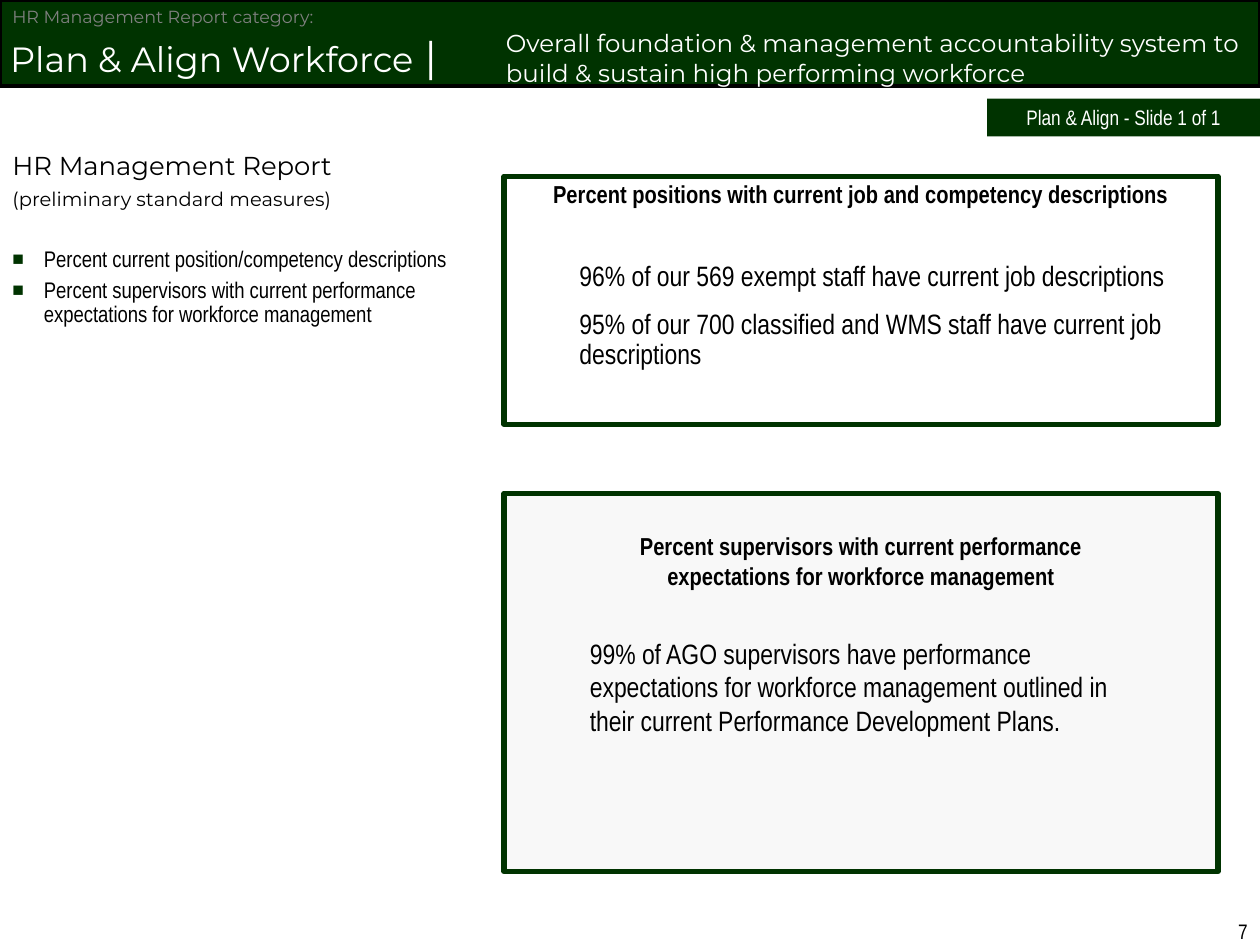
from dataclasses import dataclass
from typing import NamedTuple, Optional

from lxml import etree
from pptx import Presentation, util as u
from pptx.dml.color import RGBColor
from pptx.enum import shapes, text
from pptx.oxml import ns

COLUMNS, ROWS = 120, 90
LEFT, CENTER, RIGHT = text.PP_ALIGN.LEFT, text.PP_ALIGN.CENTER, text.PP_ALIGN.RIGHT
TOP, MIDDLE = text.MSO_ANCHOR.TOP, text.MSO_ANCHOR.MIDDLE


@dataclass(frozen=True)
class Theme:
    green: str = "003300"
    black: str = "000000"
    white: str = "FFFFFF"
    gray: str = "808080"
    pale: str = "F8F8F8"
    display: str = "Montserrat"
    body: str = "Arial Narrow"
    category: float = 20
    divider: float = 24
    statement: float = 16
    report: float = 14.8
    heading: float = 14
    bullet: float = 12.9
    label: float = 12
    note: float = 11.1
    small: float = 10


THEME = Theme()


class Area(NamedTuple):
    """A place on the slide, in columns and rows of the grid."""
    column: float
    row: float
    columns: float
    rows: float


class Run(NamedTuple):
    words: str
    size: float
    font: str = THEME.body
    color: str = THEME.black
    bold: bool = False


class Para(NamedTuple):
    runs: tuple[Run, ...]
    align: text.PP_ALIGN = LEFT
    before: float = 0
    line: float = 1
    margin: float = 0
    hanging: float = 0
    bullet: bool = False


class Block(NamedTuple):
    """A text box, or a rectangle when it has a fill."""
    area: Area
    paras: tuple[Para, ...] = ()
    fill: Optional[str] = None
    border: Optional[str] = None
    weight: float = 3
    anchor: text.MSO_ANCHOR = TOP
    insets: tuple[float, float] = (0.1, 0.05)


def add_bullet(properties) -> None:
    color = etree.SubElement(properties, ns.qn("a:buClr"))
    etree.SubElement(color, ns.qn("a:srgbClr"), val=THEME.green)
    etree.SubElement(properties, ns.qn("a:buSzPct"), val="85000")
    etree.SubElement(properties, ns.qn("a:buFont"), typeface="Arial")
    etree.SubElement(properties, ns.qn("a:buChar"), char="■")


def write_paragraph(paragraph, para: Para) -> None:
    paragraph.alignment = para.align
    paragraph.line_spacing = para.line
    paragraph.space_before = u.Pt(para.before)
    properties = paragraph._p.get_or_add_pPr()
    properties.set("marL", str(u.Inches(para.margin)))
    properties.set("indent", str(-u.Inches(para.hanging)))
    if para.bullet:
        add_bullet(properties)
    for item in para.runs:
        run = paragraph.add_run()
        run.text = item.words
        run.font.size = u.Pt(item.size)
        run.font.name = item.font
        run.font.bold = item.bold
        run.font.color.rgb = RGBColor.from_string(item.color)


def add_block(slide, block: Block, cell_width: float, cell_height: float) -> None:
    area = block.area
    box = [round(length) for length in (
        area.column * cell_width, area.row * cell_height,
        area.columns * cell_width, area.rows * cell_height)]
    if block.fill:
        shape = slide.shapes.add_shape(shapes.MSO_SHAPE.RECTANGLE, *box)
        shape.shadow.inherit = False
        shape.fill.solid()
        shape.fill.fore_color.rgb = RGBColor.from_string(block.fill)
        if block.border:
            shape.line.color.rgb = RGBColor.from_string(block.border)
            shape.line.width = u.Pt(block.weight)
        else:
            shape.line.fill.background()
    else:
        shape = slide.shapes.add_textbox(*box)
    frame = shape.text_frame
    frame.word_wrap = True
    frame.auto_size = text.MSO_AUTO_SIZE.NONE
    frame.vertical_anchor = block.anchor
    side, end = map(u.Inches, block.insets)
    frame.margin_left = frame.margin_right = side
    frame.margin_top = frame.margin_bottom = end
    for index, para in enumerate(block.paras):
        paragraph = frame.add_paragraph() if index else frame.paragraphs[0]
        write_paragraph(paragraph, para)


def measure(words: str, size: float, before: float = 0, font: str = THEME.body,
            bullet: bool = False) -> Para:
    return Para((Run(words, size, font),), before=before, line=0.9,
                margin=0.25, hanging=0.25, bullet=bullet)


def statement(words: str, before: float = 0, line: float = 1, margin: float = 0) -> Para:
    return Para((Run(words, THEME.statement),), before=before, line=line, margin=margin)


def heading(words: str, line: float = 1) -> Para:
    return Para((Run(words, THEME.heading, bold=True),), CENTER, line=line)


def single(words: str, size: float, font: str, color: str, align=LEFT) -> tuple[Para, ...]:
    return (Para((Run(words, size, font, color),), align),)


BLOCKS = (
    Block(Area(48, 47, 68, 36), fill=THEME.pale, border=THEME.green),
    Block(Area(0, 14, 44, 25), (
        measure("HR Management Report", THEME.report, font=THEME.display),
        measure("(preliminary standard measures)", THEME.note, 5, THEME.display),
        measure("Percent current position/competency descriptions",
                THEME.bullet, 21.5, bullet=True),
        measure("Percent supervisors with current performance expectations "
                "for workforce management", THEME.bullet, 3.5, bullet=True),
    )),
    Block(Area(56, 50, 52, 6.8), (
        heading("Percent supervisors with current performance expectations "
                "for workforce management"),
    )),
    Block(Area(0, 0, 120, 8.2), (
        Para((Run("Plan & Align Workforce", THEME.category, THEME.display, THEME.white),
              Run(" |", THEME.divider, THEME.display, THEME.white)), line=1.5),
    ), THEME.green, THEME.black, 2.25, insets=(0.08, 0.04)),
    Block(Area(0, 0, 36, 3.2), single(
        "HR Management Report category:", THEME.small, THEME.display, THEME.gray)),
    Block(Area(47, 1, 73, 9), single(
        "Overall foundation & management accountability system to build & sustain "
        "high performing workforce", THEME.heading, THEME.display, THEME.white),
        anchor=MIDDLE),
    Block(Area(48, 16.8, 68, 23.6), (
        heading("Percent positions with current job and competency descriptions", 0.9),
        statement("96% of our 569 exempt staff have current job descriptions",
                  30.7, 0.9, 0.5),
        statement("95% of our 700 classified and WMS staff have current job descriptions",
                  10, 0.9, 0.5),
    ), THEME.white, THEME.green),
    Block(Area(94, 9.4, 26, 3.6), single(
        "Plan & Align - Slide 1 of 1", THEME.label, THEME.body, THEME.white, CENTER),
        THEME.green),
    Block(Area(55, 60, 53, 10.8), (
        statement("99% of AGO supervisors have performance expectations for workforce "
                  "management outlined in their current Performance Development Plans."),
    )),
    Block(Area(92, 86.9, 28, 6.2), single(
        "7", THEME.label, THEME.body, THEME.black, RIGHT)),
)


def main() -> None:
    presentation = Presentation()
    presentation.slide_width = u.Inches(10)
    presentation.slide_height = u.Inches(7.5)
    slide = presentation.slides.add_slide(presentation.slide_layouts[6])
    cell_width = presentation.slide_width / COLUMNS
    cell_height = presentation.slide_height / ROWS
    for block in BLOCKS:
        add_block(slide, block, cell_width, cell_height)
    presentation.save("out.pptx")


if __name__ == "__main__":
    main()
